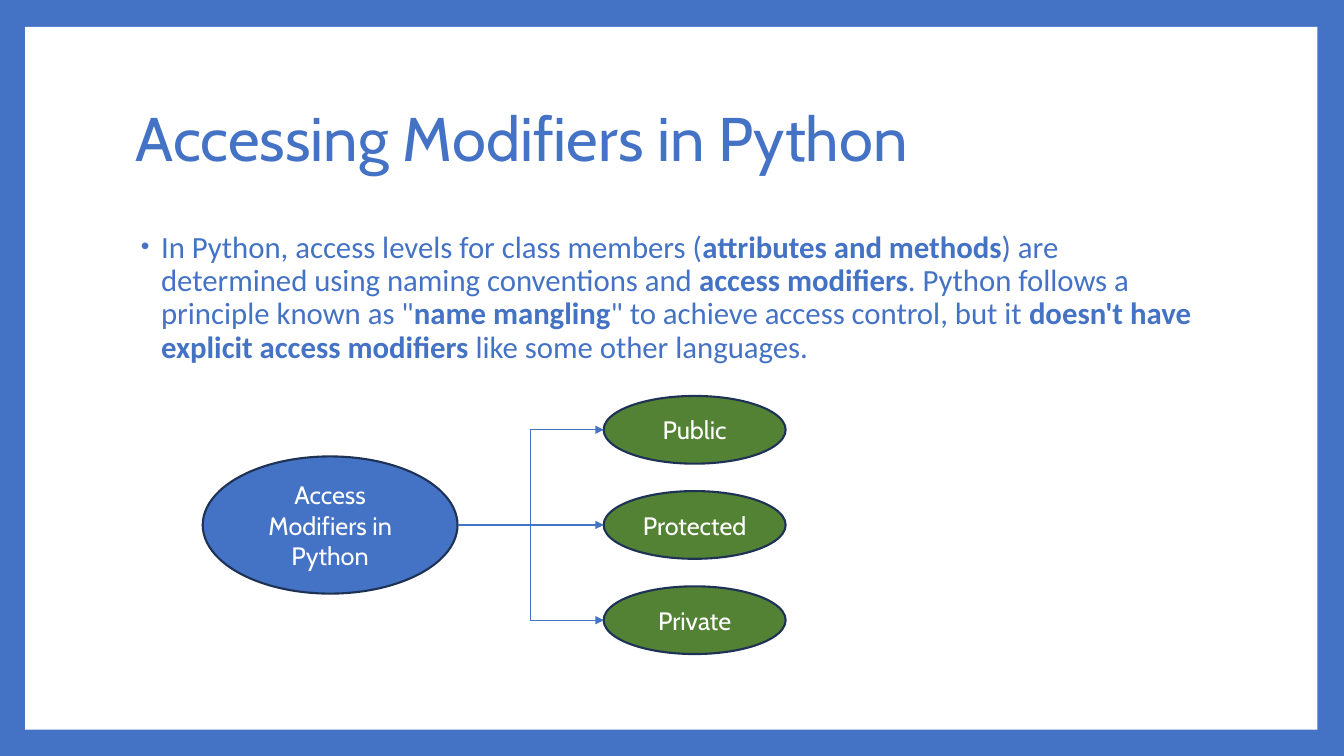
from lxml import etree
from pptx import Presentation
from pptx.dml.color import RGBColor
from pptx.enum.shapes import MSO_CONNECTOR, MSO_SHAPE
from pptx.enum.text import MSO_ANCHOR, PP_ALIGN
from pptx.oxml.ns import qn
from pptx.util import Pt

RECTANGLE, OVAL = MSO_SHAPE.RECTANGLE, MSO_SHAPE.OVAL
ELBOW = MSO_CONNECTOR.ELBOW
MIDDLE, CENTER = MSO_ANCHOR.MIDDLE, PP_ALIGN.CENTER

COLORS = {"blue": "4472C4", "green": "548235", "navy": "1E3256", "white": "FFFFFF"}
HEADING_FONT, BODY_FONT = "Cabin", "Calibri"

EXPLANATION = [
    ("In Python, access levels for class members (", False),
    ("attributes and methods", True),
    (") are determined using naming conventions and ", False),
    ("access modifiers", True),
    (". Python follows a principle known as \"", False),
    ("name mangling", True),
    ("\" to achieve access control, but it ", False),
    ("doesn't have explicit access modifiers ", True),
    ("like some other languages.", False),
]
MODIFIERS = ["Public", "Protected", "Private"]


def color(name):
    return RGBColor.from_string(COLORS[name])


def set_font(paragraph, family, size, color_name):
    paragraph.font.name = family
    paragraph.font.size = Pt(size)
    paragraph.font.color.rgb = color(color_name)


def add_background(slide, left, top, width, height):
    slide.background.fill.solid()
    slide.background.fill.fore_color.rgb = color("blue")
    panel = slide.shapes.add_shape(RECTANGLE, Pt(left), Pt(top), Pt(width), Pt(height))
    panel.shadow.inherit = False
    panel.fill.solid()
    panel.fill.fore_color.rgb = color("white")
    panel.line.fill.background()


def add_title(slide, left, top, width, height):
    title = slide.shapes.add_textbox(Pt(left), Pt(top), Pt(width), Pt(height)).text_frame
    title.word_wrap = True
    title.vertical_anchor = MIDDLE
    heading = title.paragraphs[0]
    heading.text = "Accessing Modifiers in Python"
    heading.line_spacing = 0.9
    set_font(heading, HEADING_FONT, 44, "blue")


def add_bullet(paragraph, indent, hanging):
    properties = paragraph._p.get_or_add_pPr()
    properties.set("marL", str(Pt(indent)))
    properties.set("indent", str(-Pt(hanging)))
    bullet_color = etree.SubElement(properties, qn("a:buClr"))
    etree.SubElement(bullet_color, qn("a:srgbClr"), val=COLORS["blue"])
    etree.SubElement(properties, qn("a:buSzPct"), val="80000")
    etree.SubElement(properties, qn("a:buFont"), typeface="Arial")
    etree.SubElement(properties, qn("a:buChar"), char="•")


def add_explanation(slide, left, top, width, height):
    body = slide.shapes.add_textbox(Pt(left), Pt(top), Pt(width), Pt(height)).text_frame
    body.word_wrap = True
    explanation = body.paragraphs[0]
    explanation.line_spacing = 0.9
    explanation.space_before = Pt(14)
    add_bullet(explanation, 18, 14.4)
    set_font(explanation, BODY_FONT, 22, "blue")
    for words, bold in EXPLANATION:
        phrase = explanation.add_run()
        phrase.text = words
        phrase.font.bold = bold


def add_ellipse(slide, label, fill, left, top, width, height):
    ellipse = slide.shapes.add_shape(OVAL, Pt(left), Pt(top), Pt(width), Pt(height))
    ellipse.shadow.inherit = False
    ellipse.fill.solid()
    ellipse.fill.fore_color.rgb = color(fill)
    ellipse.line.color.rgb = color("navy")
    ellipse.line.width = Pt(1.5)
    ellipse.text_frame.word_wrap = True
    ellipse.text_frame.vertical_anchor = MIDDLE
    caption = ellipse.text_frame.paragraphs[0]
    caption.text = label
    caption.alignment = CENTER
    set_font(caption, HEADING_FONT, 18, "white")


def add_arrow(slide, start_x, start_y, end_x, end_y):
    arrow = slide.shapes.add_connector(ELBOW, Pt(start_x), Pt(start_y), Pt(end_x), Pt(end_y))
    arrow.line.color.rgb = color("blue")
    arrow.line.width = Pt(0.79)
    etree.SubElement(arrow.line._get_or_add_ln(), qn("a:tailEnd"), type="triangle")
    etree.SubElement(arrow._element.spPr, qn("a:effectLst"))


def add_modifier_tree(slide, left, top, width, height):
    root_width, root_height = 182, 98
    modifier_width, modifier_height = 130, 48.4
    middle = top + height / 2
    modifier_left = left + width - modifier_width
    pitch = (height - modifier_height) / (len(MODIFIERS) - 1)
    add_ellipse(slide, "Access Modifiers in Python", "blue",
                left, middle - root_height / 2, root_width, root_height)
    for row, modifier in enumerate(MODIFIERS):
        modifier_top = top + row * pitch
        add_ellipse(slide, modifier, "green",
                    modifier_left, modifier_top, modifier_width, modifier_height)
        add_arrow(slide, left + root_width, middle,
                  modifier_left, modifier_top + modifier_height / 2)


def main():
    presentation = Presentation()
    presentation.slide_width, presentation.slide_height = Pt(960), Pt(540)
    slide = presentation.slides.add_slide(presentation.slide_layouts[6])
    add_background(slide, 18, 19.2, 923, 502)
    add_title(slide, 90, 48, 778, 106.8)
    add_explanation(slide, 90, 162, 778, 318)
    add_modifier_tree(slide, 144.8, 282.8, 416.4, 184.4)
    presentation.save("out.pptx")


if __name__ == "__main__":
    main()
